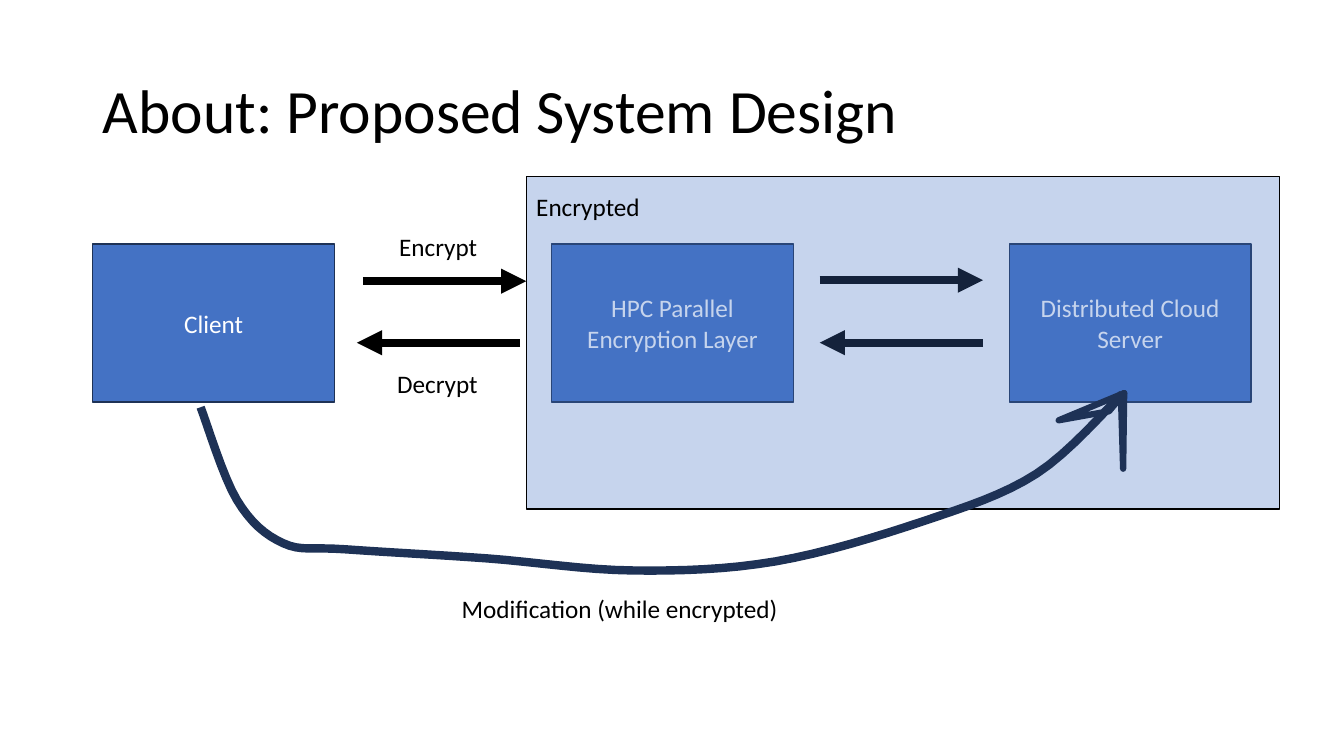
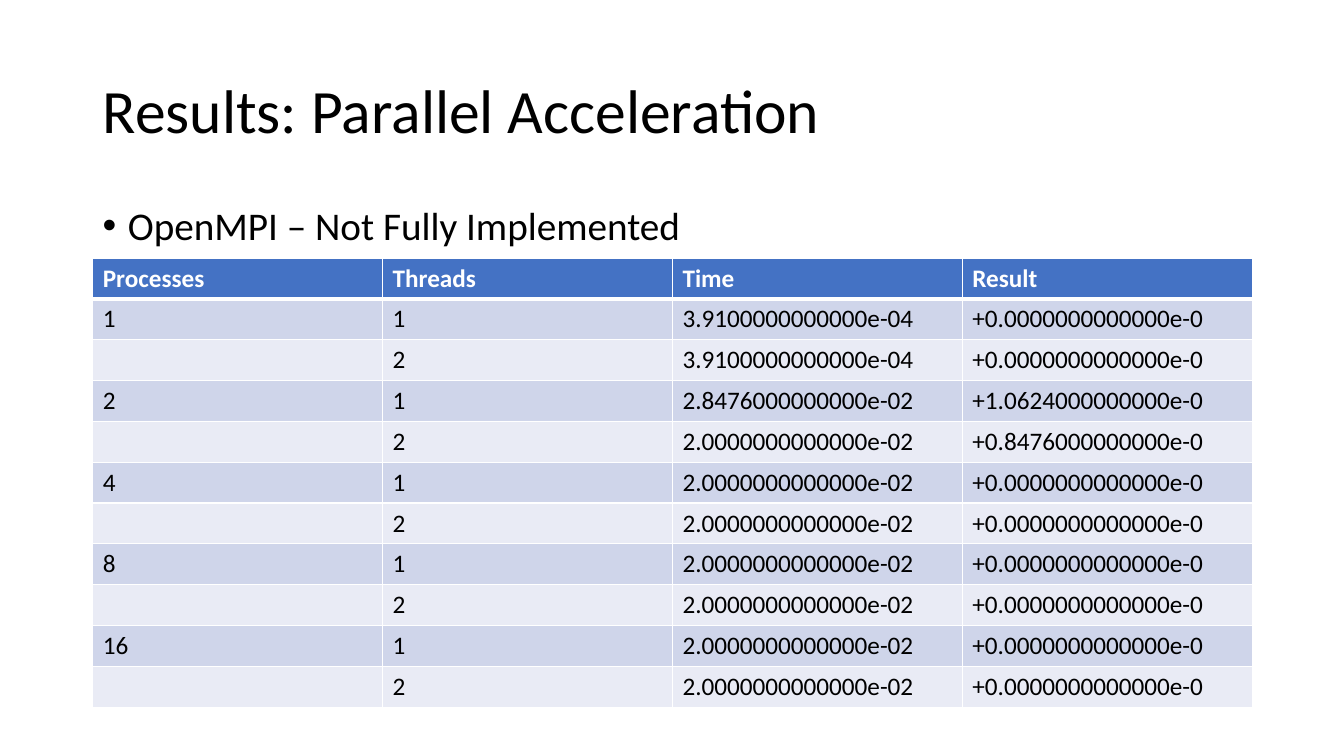
import pptx
import pptx.util
import pptx.dml.color
import pptx.enum.shapes
import pptx.enum.text
import pptx.oxml.ns
import lxml.etree

Inches = pptx.util.Inches
Pt = pptx.util.Pt
ALIGN = pptx.enum.text.PP_ALIGN
ANCHOR = pptx.enum.text.MSO_ANCHOR
RECTANGLE = pptx.enum.shapes.MSO_SHAPE.RECTANGLE
STRAIGHT = pptx.enum.shapes.MSO_CONNECTOR.STRAIGHT
qn = pptx.oxml.ns.qn

FONT = "Calibri"
BLUE, NAVY, BLACK, WHITE = "4472C4", "1E3256", "000000", "FFFFFF"
BANDS = ["CFD5EA", "E9EBF5"]
LEFT, WIDTH = 0.92, 11.5


def rgb(code):
    return pptx.dml.color.RGBColor.from_string(code)


def write(frame, text, size=18, color=BLACK, align=ALIGN.LEFT, anchor=ANCHOR.TOP, wrap=True):
    frame.word_wrap = wrap
    frame.vertical_anchor = anchor
    paragraph = frame.paragraphs[0]
    paragraph.text = text
    paragraph.alignment = align
    paragraph.font.name = FONT
    paragraph.font.size = Pt(size)
    paragraph.font.color.rgb = rgb(color)
    return paragraph


deck = pptx.Presentation()
deck.slide_width = Inches(13.33)
deck.slide_height = Inches(7.5)

slides = []
for heading in ["About: Proposed System Design", "Results: Parallel Acceleration"]:
    slide = deck.slides.add_slide(deck.slide_layouts[6])
    title = slide.shapes.add_textbox(Inches(LEFT), Inches(0.4), Inches(WIDTH), Inches(1.45))
    write(title.text_frame, heading, size=44, anchor=ANCHOR.MIDDLE).line_spacing = 0.9
    slides.append(slide)
design, results = slides

for left, component in [
    (LEFT, "Client"),
    (5.47, "HPC Parallel Encryption Layer"),
    (10.01, "Distributed Cloud Server"),
]:
    box = design.shapes.add_shape(RECTANGLE, Inches(left), Inches(2.42), Inches(2.4), Inches(1.57))
    box.shadow.inherit = False
    box.fill.solid()
    box.fill.fore_color.rgb = rgb(BLUE)
    box.line.color.rgb = rgb(NAVY)
    box.line.width = Pt(1)
    write(box.text_frame, component, color=WHITE, align=ALIGN.CENTER, anchor=ANCHOR.MIDDLE)

for start, end, y in [(3.6, 5.22, 2.79), (8.13, 9.75, 2.78), (5.16, 3.54, 3.4), (9.75, 8.13, 3.4)]:
    arrow = design.shapes.add_connector(STRAIGHT, Inches(start), Inches(y), Inches(end), Inches(y))
    arrow.line.color.rgb = rgb(BLACK)
    arrow.line.width = Pt(6)
    lxml.etree.SubElement(arrow.line._get_or_add_ln(), qn("a:tailEnd"), type="triangle")
    lxml.etree.SubElement(arrow._element.spPr, qn("a:effectLst"))

encrypted = design.shapes.add_shape(RECTANGLE, Inches(5.22), Inches(1.75), Inches(7.47), Inches(3.3))
encrypted.shadow.inherit = False
encrypted.fill.solid()
encrypted.fill.fore_color.rgb = rgb(BLUE)
tint = encrypted._element.spPr.find(qn("a:solidFill"))[0]
lxml.etree.SubElement(tint, qn("a:alpha"), val="30000")
encrypted.line.color.rgb = rgb(BLACK)
encrypted.line.width = Pt(1)
encrypted.text_frame.margin_top = Inches(0.15)
write(encrypted.text_frame, "Encrypted")

client_exit, server_entry = (1.99, 4.04), (11.13, 3.91)
bends = [
    (2.35, 4.96), (2.81, 5.39), (3.43, 5.45), (4.83, 5.54),
    (6.28, 5.66), (7.69, 5.57), (9.16, 5.17), (10.28, 4.7),
]
knots = [client_exit, client_exit, *bends, server_entry, server_entry]
STEPS = 8
modification = [client_exit]
for before, here, there, after in zip(knots, knots[1:], knots[2:], knots[3:]):
    for step in range(1, STEPS + 1):
        t = step / STEPS
        modification.append(tuple(
            b + ((c - a) * t + (2 * a - 5 * b + 4 * c - d) * t**2 + (3 * b - a - 3 * c + d) * t**3) / 2
            for a, b, c, d in zip(before, here, there, after)
        ))

tip = (11.15, 3.9)
left_barb = [tip, (10.5, 4.17), (11, 4.08), tip]
lower_barb = [tip, (11.14, 4.65), (11.12, 4), tip]

for points, weight in [(modification, 6), (left_barb, 4.5), (lower_barb, 4.5)]:
    start, *rest = [(Inches(x), Inches(y)) for x, y in points]
    builder = design.shapes.build_freeform(*start)
    builder.add_line_segments(rest, close=False)
    stroke = builder.convert_to_shape()
    stroke.shadow.inherit = False
    stroke.fill.background()
    stroke.line.color.rgb = rgb(NAVY)
    stroke.line.width = Pt(weight)

for left, top, width, caption in [
    (4.48, 5.84, 3.38, "Modification (while encrypted)"),
    (3.86, 2.25, 0.98, "Encrypt"),
    (3.84, 3.61, 1.01, "Decrypt"),
]:
    label = design.shapes.add_textbox(Inches(left), Inches(top), Inches(width), Inches(0.4))
    write(label.text_frame, caption, wrap=False)

status = results.shapes.add_textbox(Inches(LEFT), Inches(2), Inches(WIDTH), Inches(0.55))
point = write(status.text_frame, "OpenMPI – Not Fully Implemented", size=28)
point.line_spacing = 0.9
point_format = point._p.get_or_add_pPr()
point_format.set("marL", str(Inches(0.25)))
point_format.set("indent", str(Inches(-0.25)))
bullet_font = lxml.etree.Element(qn("a:buFont"), typeface="Arial")
bullet = lxml.etree.Element(qn("a:buChar"), char="•")
for mark in [bullet_font, bullet]:
    point_format.find(qn("a:defRPr")).addprevious(mark)

ZERO_RESULT = "+0.0000000000000e-0"
FAST_TIME = "3.9100000000000e-04"
USUAL_TIME = "2.0000000000000e-02"
timings = [
    ("Processes", "Threads", "Time", "Result"),
    ("1", "1", FAST_TIME, ZERO_RESULT),
    ("", "2", FAST_TIME, ZERO_RESULT),
    ("2", "1", "2.8476000000000e-02", "+1.0624000000000e-0"),
    ("", "2", USUAL_TIME, "+0.8476000000000e-0"),
]
for processes in ["4", "8", "16"]:
    timings += [(processes, "1", USUAL_TIME, ZERO_RESULT), ("", "2", USUAL_TIME, ZERO_RESULT)]

table = results.shapes.add_table(
    len(timings), len(timings[0]), Inches(LEFT), Inches(2.56), Inches(WIDTH), Inches(4.46)
).table
for row, values in enumerate(timings):
    for column, value in enumerate(values):
        cell = table.cell(row, column)
        cell.fill.solid()
        cell.fill.fore_color.rgb = rgb(BANDS[(row - 1) % 2] if row else BLUE)
        entry = write(cell.text_frame, value, color=BLACK if row else WHITE)
        entry.font.bold = row == 0

for header in table.rows[0].cells:
    rule = lxml.etree.Element(qn("a:lnB"), w=str(Pt(3)))
    ink = lxml.etree.SubElement(rule, qn("a:solidFill"))
    lxml.etree.SubElement(ink, qn("a:srgbClr"), val=WHITE)
    header._tc.get_or_add_tcPr().insert(0, rule)

deck.save("out.pptx")
